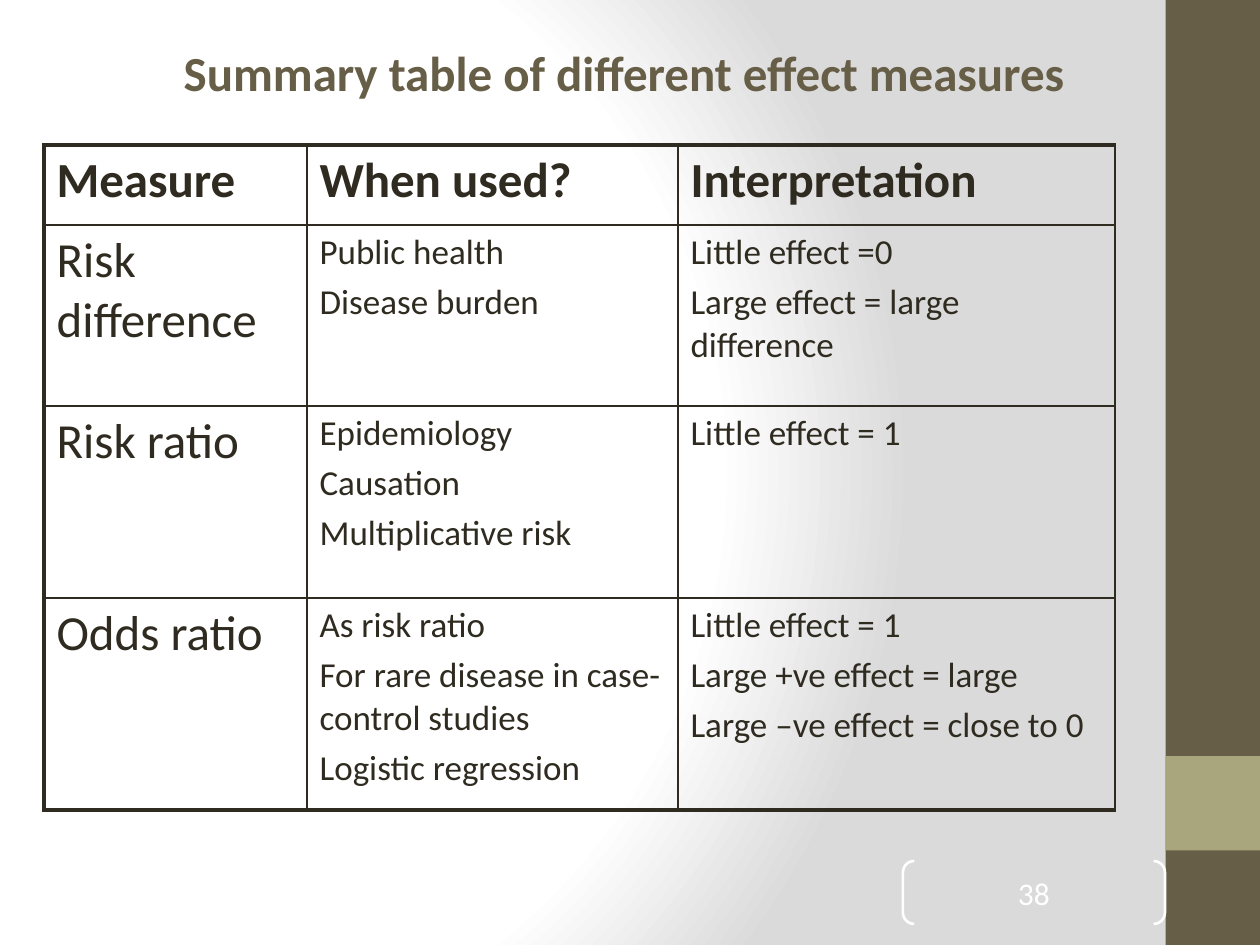
"""Build a slide with a summary table of effect measures."""
from dataclasses import dataclass

from pptx import Presentation
from pptx.dml.color import RGBColor
from pptx.enum.shapes import MSO_SHAPE as Shape
from pptx.enum.text import MSO_ANCHOR as Anchor, PP_ALIGN as Align
from pptx.oxml import parse_xml
from pptx.oxml.ns import nsdecls
from pptx.util import Pt

EMU_PER_PIXEL = 914400 / 126


@dataclass(frozen=True)
class Theme:
    font: str = "Calibri"
    ink: str = "2F2B20"
    brown: str = "675E47"
    olive: str = "A9A57C"
    white: str = "FFFFFF"
    grey: str = "DADADA"
    large: int = 28
    body: int = 20
    number: int = 18
    outer: float = 2.25
    inner: float = 1


THEME = Theme()
COLUMNS = [263, 371, 437]
ROWS = [80, 181, 192, 212]
CONTENT = [
    [["Measure"], ["When used?"], ["Interpretation"]],
    [["Risk difference"], ["Public health", "Disease burden"],
     ["Little effect =0", "Large effect = large difference"]],
    [["Risk ratio"], ["Epidemiology", "Causation", "Multiplicative risk"],
     ["Little effect = 1"]],
    [["Odds ratio"],
     ["As risk ratio", "For rare disease in case-control studies", "Logistic regression"],
     ["Little effect = 1", "Large +ve effect = large", "Large –ve effect = close to 0"]],
]


def px(*values):
    return [round(value * EMU_PER_PIXEL) for value in values]


def write(frame, lines, size, color, bold=False, align=Align.LEFT, before=0):
    for index, line in enumerate(lines):
        para = frame.add_paragraph() if index else frame.paragraphs[0]
        para.alignment = align
        para.space_before = Pt(before)
        span = para.add_run()
        span.text = line
        span.font.name = THEME.font
        span.font.size = Pt(size)
        span.font.bold = bold
        span.font.color.rgb = RGBColor.from_string(color)


def add_background(page):
    page.background.fill.gradient()
    gradient = page.element.xpath(".//p:bgPr/a:gradFill")[0]
    stops = [(0, THEME.white), (75, THEME.white), (100, THEME.grey)]
    stop_xml = "".join(
        f'<a:gs pos="{place * 1000}"><a:srgbClr val="{color}"/></a:gs>'
        for place, color in stops)
    gradient.getparent().replace(gradient, parse_xml(
        f'<a:gradFill {nsdecls("a")} rotWithShape="1"><a:gsLst>{stop_xml}</a:gsLst>'
        '<a:path path="circle"><a:fillToRect l="20000" t="50000" r="100000" b="50000"/>'
        '</a:path></a:gradFill>'))


def add_shape(page, kind, bounds, fill=None, line=None):
    box = page.shapes.add_shape(kind, *px(*bounds))
    box.shadow.inherit = False
    if fill:
        box.fill.solid()
        box.fill.fore_color.rgb = RGBColor.from_string(fill)
    else:
        box.fill.background()
    if line:
        box.line.color.rgb = RGBColor.from_string(line)
        box.line.width = Pt(1.5)
    else:
        box.line.fill.background()
    return box


def add_title(page, text):
    title = page.shapes.title
    title.left, title.top, title.width, title.height = px(94, 26, 1071, 91)
    title.text_frame.vertical_anchor = Anchor.MIDDLE
    write(title.text_frame, [text], THEME.large, THEME.brown, bold=True, align=Align.CENTER)


def set_borders(cell, **widths):
    properties = cell._tc.get_or_add_tcPr()
    for index, (side, width) in enumerate(widths.items()):
        properties.insert(index, parse_xml(
            f'<a:ln{side} {nsdecls("a")} w="{Pt(width)}"><a:solidFill>'
            f'<a:srgbClr val="{THEME.ink}"/></a:solidFill></a:ln{side}>'))


def add_measures(page):
    bounds = px(44, 145, sum(COLUMNS), sum(ROWS))
    table = page.shapes.add_table(len(ROWS), len(COLUMNS), *bounds).table
    table.first_row = table.horz_banding = False
    for column, width in zip(table.columns, px(*COLUMNS)):
        column.width = width
    for row, height in zip(table.rows, px(*ROWS)):
        row.height = height
    for r, row in enumerate(CONTENT):
        for c, lines in enumerate(row):
            cell = table.cell(r, c)
            cell.fill.background()
            set_borders(cell,
                        L=THEME.inner if c else THEME.outer,
                        R=THEME.inner,
                        T=THEME.inner if r else THEME.outer,
                        B=THEME.outer if r == len(ROWS) - 1 else THEME.inner)
            size = THEME.body if r and c else THEME.large
            write(cell.text_frame, lines, size, THEME.ink, bold=r == 0, before=size * 0.2)


def add_page_number(page, number):
    box = add_shape(page, Shape.DOUBLE_BRACKET, (903, 861, 262, 63), line=THEME.white)
    box.adjustments[0] = 0.18
    frame = box.text_frame
    frame.margin_left = frame.margin_right = frame.margin_top = frame.margin_bottom = 0
    frame.vertical_anchor = Anchor.MIDDLE
    write(frame, [number], THEME.number, THEME.white, align=Align.CENTER)


def main():
    deck = Presentation()
    deck.slide_width, deck.slide_height = px(1260, 945)
    page = deck.slides.add_slide(deck.slide_layouts[5])
    add_background(page)
    add_shape(page, Shape.RECTANGLE, (1165.5, 0, 94.5, 945), fill=THEME.brown)
    add_shape(page, Shape.RECTANGLE, (1165.5, 756, 94.5, 94.5), fill=THEME.olive)
    add_measures(page)
    add_page_number(page, "38")
    add_title(page, "Summary table of different effect measures ")
    deck.save("out.pptx")


main()
